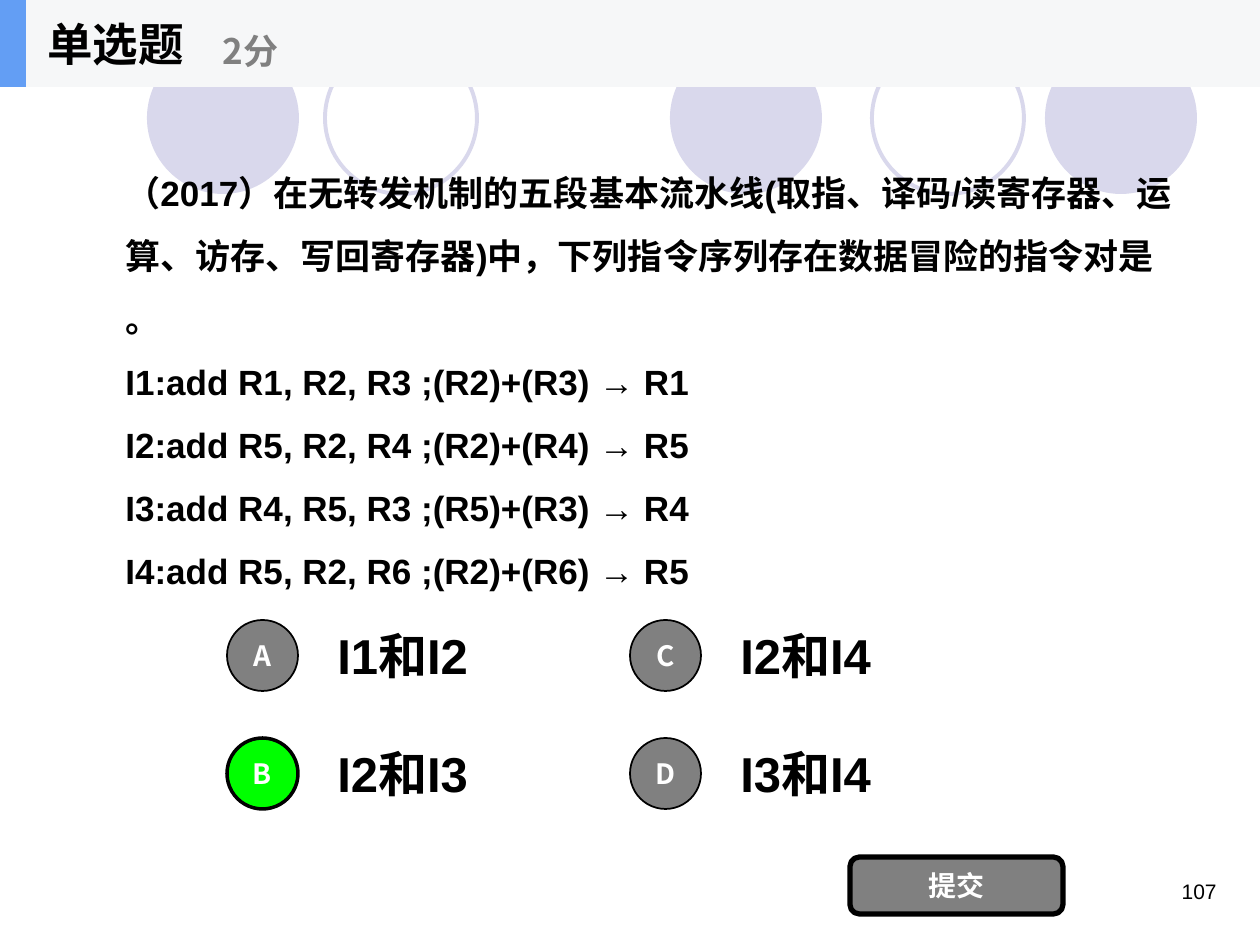
"""Build a single-choice quiz slide on pipeline data hazards."""
from pptx import Presentation
from pptx import util as u
from pptx.dml import color
from pptx.enum import lang, shapes, text
from pptx.oxml import ns

PX = 914400 / 126
CJK = "Noto Sans CJK SC"
KINDS = shapes.MSO_SHAPE
ALIGN = text.PP_ALIGN


def rgb(value):
    return color.RGBColor.from_string(value)


def add(box, content="", kind=None, fill=None, line=None, width=1, size=16,
        font=CJK, ink="000000", bold=True, align=ALIGN.LEFT,
        anchor=text.MSO_ANCHOR.MIDDLE, spacing=None):
    area = [u.Emu(round(n * PX)) for n in box]
    if kind is None:
        sp = s.shapes.add_textbox(*area)
    else:
        sp = s.shapes.add_shape(kind, *area)
        sp.shadow.inherit = False
        if fill:
            sp.fill.solid()
            sp.fill.fore_color.rgb = rgb(fill)
        else:
            sp.fill.background()
        if line:
            sp.line.color.rgb = rgb(line)
            sp.line.width = u.Pt(width)
        else:
            sp.line.fill.background()
    tf = sp.text_frame
    tf.word_wrap = True
    tf.vertical_anchor = anchor
    if not content:
        return sp
    tf.text = content
    for p in tf.paragraphs:
        p.alignment = align
        p.line_spacing = spacing
        for r in p.runs:
            r.font.size = u.Pt(size)
            r.font.bold = bold
            r.font.name = font
            r.font.color.rgb = rgb(ink)
            r.font.language_id = lang.MSO_LANGUAGE_ID.SIMPLIFIED_CHINESE
            ea = r._r.get_or_add_rPr().makeelement(ns.qn("a:ea"), {"typeface": font})
            r.font._element.append(ea)
    return sp


prs = Presentation()
prs.slide_width, prs.slide_height = u.Inches(10), u.Inches(7.5)
s = prs.slides.add_slide(prs.slide_layouts[6])

for x in (670, 1045, 147):
    add((x, 42, 152, 152), kind=KINDS.OVAL, fill="D9D8EC")
for x in (872, 325):
    add((x, 42, 152, 152), kind=KINDS.OVAL, line="D9D8EC", width=2.25)

add((935, 872, 294, 63), "107", size=12, font="Arial", bold=False,
    align=ALIGN.RIGHT, anchor=text.MSO_ANCHOR.TOP)

instructions = [("I1", "R1", "R2", "R3"), ("I2", "R5", "R2", "R4"),
                ("I3", "R4", "R5", "R3"), ("I4", "R5", "R2", "R6")]
question = ("（2017）在无转发机制的五段基本流水线(取指、译码/读寄存器、运算、访存、"
            "写回寄存器)中，下列指令序列存在数据冒险的指令对是")
lines = [f"{name}:add {d}, {a}, {b} ;({a})+({b}) → {d}" for name, d, a, b in instructions]
add((113, 145, 1103, 452), "\n".join([question + "\t\t。"] + lines),
    size=20, font="Arial", spacing=u.Pt(36))

options = [("A", "I1和I2"), ("B", "I2和I3"), ("C", "I2和I4"), ("D", "I3和I4")]
for i, (letter, answer) in enumerate(options):
    col, row = divmod(i, 2)
    x, y = 227 + 403 * col, 620 + 118 * row
    correct = letter == "B"
    add((x + 98, y - 9, 220, 88), answer, size=28, font="Arial")
    add((x, y, 71, 71), letter, KINDS.OVAL, "00FF00" if correct else "808080",
        "000000", 2 if correct else 1, ink="FFFFFF", align=ALIGN.CENTER)

add((850, 857, 213, 57), "提交", KINDS.ROUNDED_RECTANGLE, "808080", "000000", 3,
    ink="FFFFFF", align=ALIGN.CENTER)

add((0, 0, 1260, 87), kind=KINDS.RECTANGLE, fill="F6F7F8")
add((0, 0, 26, 87), kind=KINDS.RECTANGLE, fill="639EF4")
add((35, 0, 262, 87), "单选题", size=26)
add((210, 15, 315, 71), "2分", size=20, ink="808080")

prs.save("out.pptx")
